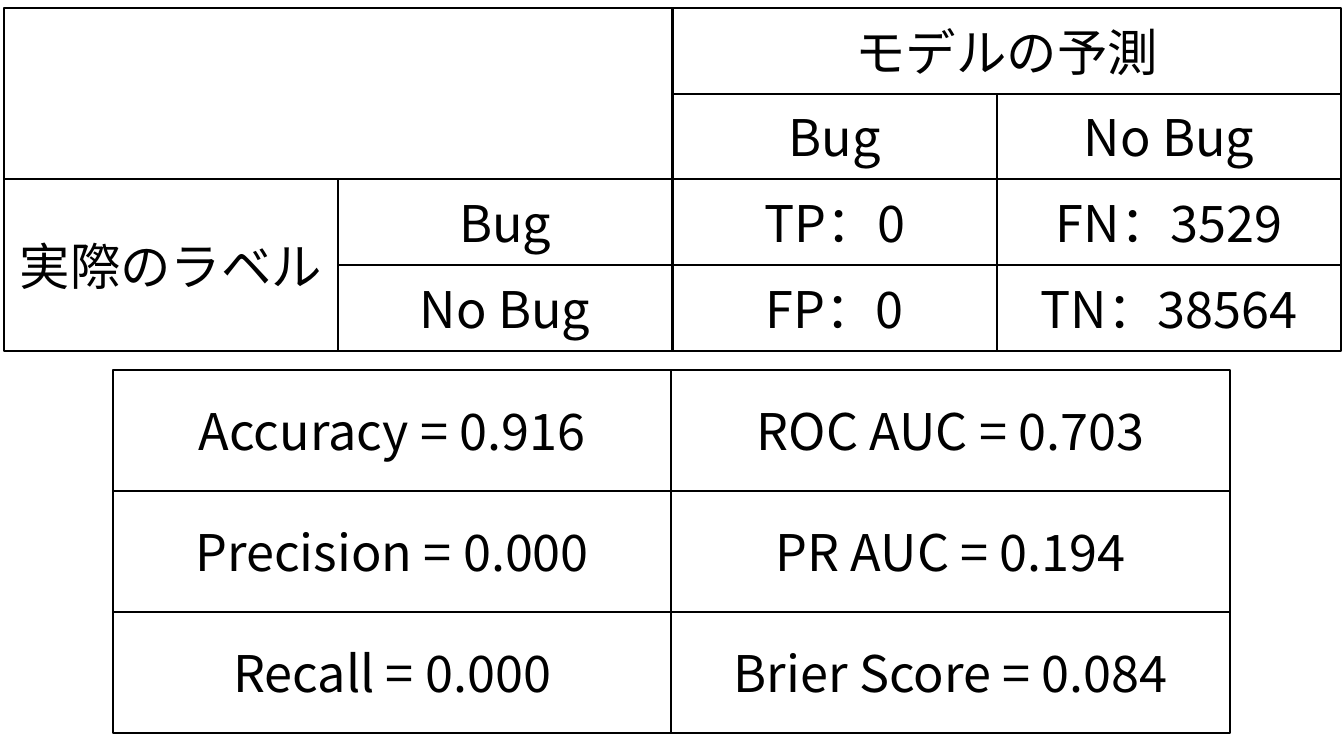
from itertools import product

from lxml import etree
from pptx import Presentation
from pptx.dml.color import RGBColor
from pptx.enum.shapes import MSO_SHAPE
from pptx.enum.text import MSO_ANCHOR, PP_ALIGN
from pptx.oxml.ns import qn
from pptx.util import Inches, Pt

COLORS = {"paper": "FFFFFF", "ink": "000000"}
FONT_NAME = "Noto Sans CJK JP"
FONT_FORMAT = {"name": FONT_NAME, "size": Pt(36)}
FRAME_FORMAT = {"word_wrap": True, "vertical_anchor": MSO_ANCHOR.MIDDLE}


class Slide:
    """Holds the style and the current page."""

    def __init__(self, deck):
        self.page = deck.slides.add_slide(deck.slide_layouts[6])
        self.paper = RGBColor.from_string(COLORS["paper"])
        self.ink = RGBColor.from_string(COLORS["ink"])

    def cell(self, left, top, width, height, text=""):
        box = self.page.shapes.add_shape(
            MSO_SHAPE.RECTANGLE,
            Inches(left), Inches(top), Inches(width), Inches(height))
        box.shadow.inherit = False
        box.fill.solid()
        box.fill.fore_color.rgb = self.paper
        box.line.color.rgb = self.ink
        box.line.width = Pt(1.5)
        if text:
            self.label(box.text_frame, text)

    def label(self, frame, text):
        for name, value in FRAME_FORMAT.items():
            setattr(frame, name, value)
        para = frame.paragraphs[0]
        para.alignment = PP_ALIGN.CENTER
        span = para.add_run()
        span.text = text
        for name, value in FONT_FORMAT.items():
            setattr(span.font, name, value)
        span.font.color.rgb = self.ink
        # Japanese characters take their font from a:ea
        properties = span._r.get_or_add_rPr()
        east_asian = etree.SubElement(properties, qn("a:ea"))
        east_asian.set("typeface", FONT_NAME)


def add_confusion_matrix(slide):
    edges = [0.04, 3.35, 6.67, 9.89, 13.3]
    top, row_height = 0.08, 0.85
    # First column, first row, columns spanned, rows spanned, text
    cells = [
        (0, 0, 2, 2, ""),
        (2, 0, 2, 1, "モデルの予測"),
        (2, 1, 1, 1, "Bug"),
        (3, 1, 1, 1, "No Bug"),
        (0, 2, 1, 2, "実際のラベル"),
        (1, 2, 1, 1, "Bug"),
        (1, 3, 1, 1, "No Bug"),
        (2, 2, 1, 1, "TP：0"),
        (3, 2, 1, 1, "FN：3529"),
        (2, 3, 1, 1, "FP：0"),
        (3, 3, 1, 1, "TN：38564"),
    ]
    for column, row, columns, rows, text in cells:
        slide.cell(edges[column], top + row * row_height,
                   edges[column + columns] - edges[column],
                   rows * row_height, text)


def add_scores(slide):
    left, top, width, height = 1.12, 3.67, 5.54, 1.2
    scores = [
        ["Accuracy = 0.916", "Precision = 0.000", "Recall = 0.000"],
        ["ROC AUC = 0.703", "PR AUC = 0.194", "Brier Score = 0.084"],
    ]
    for column, row in product(range(2), range(3)):
        slide.cell(left + column * width, top + row * height,
                   width, height, scores[column][row])


def main():
    deck = Presentation()
    deck.slide_width, deck.slide_height = Inches(13.33), Inches(7.5)
    slide = Slide(deck)
    add_confusion_matrix(slide)
    add_scores(slide)
    deck.save("out.pptx")


if __name__ == "__main__":
    main()
